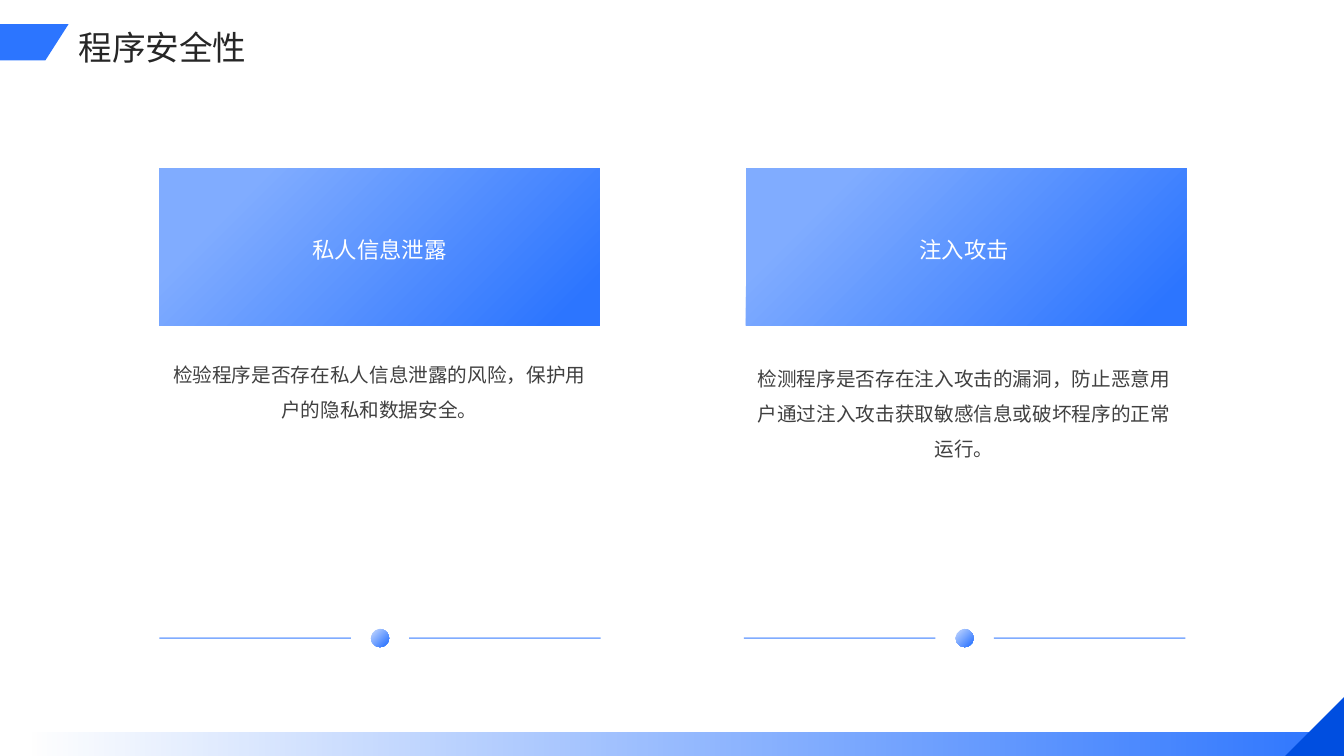
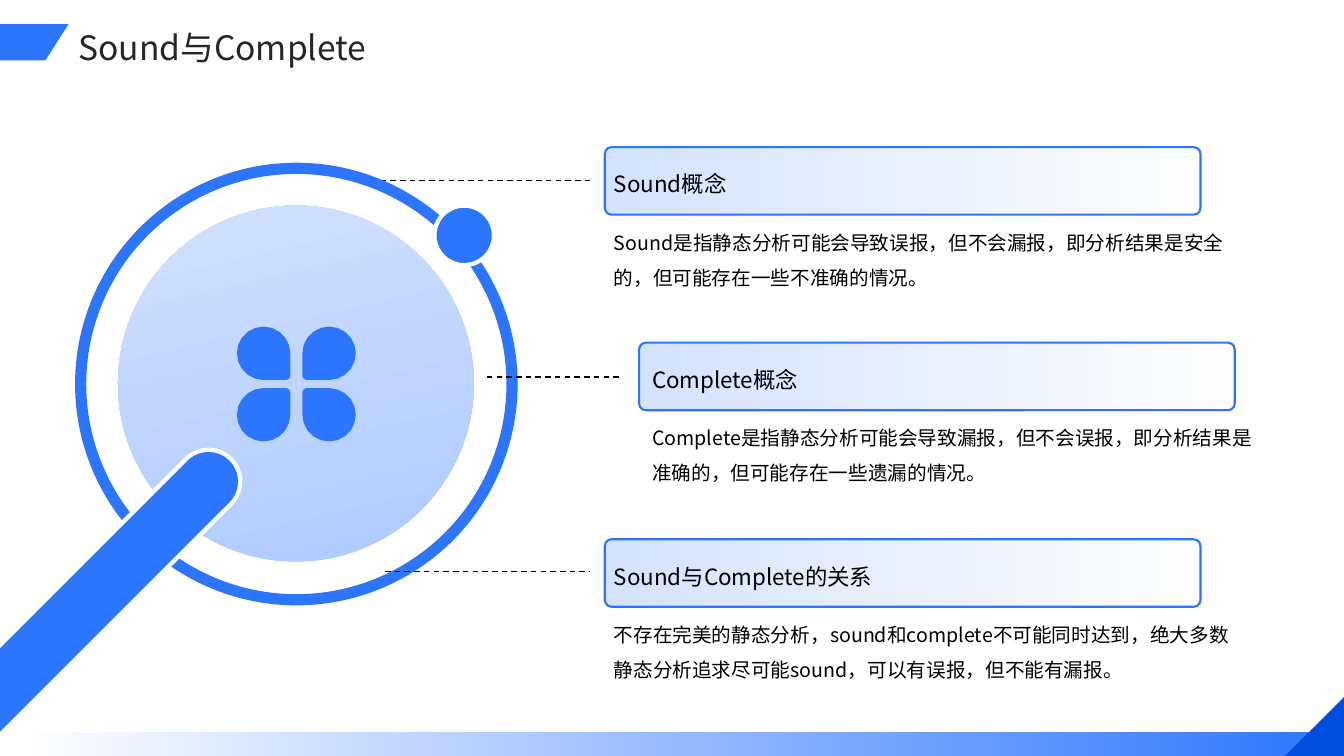
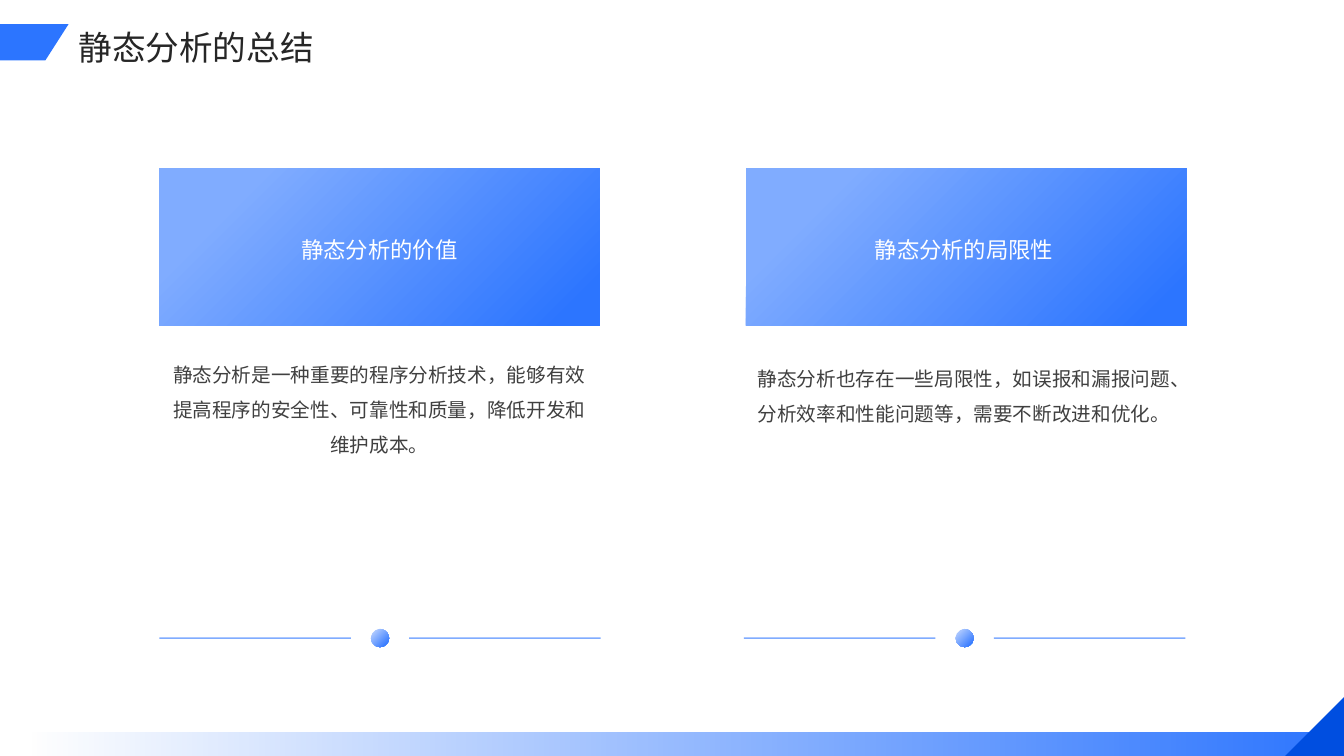
"""Build three slides on program security and static analysis."""
from math import cos, radians, sin

from lxml import etree
from pptx import Presentation
from pptx.dml.color import RGBColor
from pptx.enum.dml import MSO_LINE
from pptx.enum.lang import MSO_LANGUAGE_ID as LANG
from pptx.enum.shapes import MSO_CONNECTOR, MSO_SHAPE
from pptx.enum.text import MSO_ANCHOR, PP_ALIGN
from pptx.oxml.ns import qn
from pptx.util import Emu, Pt

PX = 9144
FONT = "Noto Sans CJK SC"
BLUE = RGBColor(0x2C, 0x75, 0xFF)
DEEP = RGBColor(0x00, 0x4E, 0xE0)
SKY = RGBColor(0x80, 0xAC, 0xFF)
PALE = RGBColor(0xAB, 0xC8, 0xFF)
MIST = RGBColor(0xD5, 0xE3, 0xFF)
WHITE = RGBColor(0xFF, 0xFF, 0xFF)
BLACK = RGBColor(0x00, 0x00, 0x00)
INK = RGBColor(0x26, 0x26, 0x26)
GREY = RGBColor(0x40, 0x40, 0x40)
LEFT, CENTER = PP_ALIGN.LEFT, PP_ALIGN.CENTER
TOP, MIDDLE = MSO_ANCHOR.TOP, MSO_ANCHOR.MIDDLE


def add_shape(slide, kind, x, y, w, h, colors, angle=0, stops=(0, 1), clear=None, line=None, width=1):
    sp = slide.shapes.add_shape(kind, x * PX, y * PX, w * PX, h * PX)
    sp.shadow.inherit = False
    if len(colors) == 1:
        sp.fill.solid()
        sp.fill.fore_color.rgb = colors[0]
    else:
        sp.fill.gradient()
        sp.fill.gradient_angle = angle
        for stop, color, position in zip(sp.fill.gradient_stops, colors, stops):
            stop.color.rgb = color
            stop.position = position
    if clear is not None:
        tone = list(sp._element.spPr.iter(qn("a:srgbClr")))[clear]
        etree.SubElement(tone, qn("a:alpha")).set("val", "0")
    if line is None:
        sp.line.fill.background()
    else:
        sp.line.color.rgb = line
        sp.line.width = Pt(width)
    return sp


def add_line(slide, start, end, y, color):
    line = slide.shapes.add_connector(MSO_CONNECTOR.STRAIGHT, start * PX, y * PX, end * PX, y * PX)
    line.line.color.rgb = color
    line.line.width = Pt(1)
    etree.SubElement(line._element.spPr, qn("a:effectLst"))
    return line


prs = Presentation()
prs.slide_width = Emu(12192000)
prs.slide_height = 750 * PX
slides = []
texts = []

for title in ("程序安全性", "Sound与Complete", "静态分析的总结"):
    slide = prs.slides.add_slide(prs.slide_layouts[6])
    add_shape(slide, MSO_SHAPE.RECTANGLE, 24, 727, 1309, 23, (BLUE, BLUE), clear=0)
    corner = add_shape(slide, MSO_SHAPE.RIGHT_TRIANGLE, 1275, 691, 59, 59, (DEEP,))
    corner.rotation = 270
    builder = slide.shapes.build_freeform(0, 24, scale=PX)
    builder.add_line_segments([(68, 24), (45, 60), (0, 60)])
    tag = builder.convert_to_shape()
    tag.shadow.inherit = False
    tag.fill.solid()
    tag.fill.fore_color.rgb = BLUE
    tag.line.fill.background()
    texts.append((slide, 68, 18, 1171, 46, title, 24, INK, 1.1, LEFT, TOP, True))
    slides.append(slide)

security, concepts, summary = slides

card_slides = (
    (security, (
        ("私人信息泄露", "检验程序是否存在私人信息泄露的风险，保护用户的隐私和数据安全。"),
        ("注入攻击", "检测程序是否存在注入攻击的漏洞，防止恶意用户通过注入攻击获取敏感信息或破坏程序的正常运行。"),
    )),
    (summary, (
        ("静态分析的价值", "静态分析是一种重要的程序分析技术，能够有效提高程序的安全性、可靠性和质量，降低开发和维护成本。"),
        ("静态分析的局限性", "静态分析也存在一些局限性，如误报和漏报问题、分析效率和性能问题等，需要不断改进和优化。"),
    )),
)
card_places = ((140, 158, 160, 343, 158), (721, 740, 740, 347, 738))
for slide, cards in card_slides:
    for (heading, body), (panel_x, card_x, text_x, body_y, rule_x) in zip(cards, card_places):
        panel = add_shape(slide, MSO_SHAPE.RECTANGLE, panel_x, 144, 472, 506, (WHITE,), line=MIST)
        edge = next(panel.line._ln.iter(qn("a:srgbClr")))
        etree.SubElement(edge, qn("a:alpha")).set("val", "0")
        add_shape(slide, MSO_SHAPE.RECTANGLE, card_x, 167, 437, 156, (SKY, BLUE), 315, (0.18, 0.93))
        texts.append((slide, text_x, 185, 433, 118, heading, 16, WHITE, 1.3, CENTER, MIDDLE, False))
        texts.append((slide, text_x, body_y, 433, 616 - body_y, body, 14, GREY, 1.5, CENTER, TOP, True))
        add_shape(slide, MSO_SHAPE.OVAL, rule_x + 210, 624, 18, 18, (PALE, BLUE), 315, (0.18, 0.93))
        for start in (rule_x, rule_x + 248):
            rule = add_line(slide, start, start + 190, 633, BLUE)
            tone = next(rule.line._ln.iter(qn("a:srgbClr")))
            etree.SubElement(tone, qn("a:alpha")).set("val", "60000")

topics = (
    (600, 609, 146, "Sound概念",
     "Sound是指静态分析可能会导致误报，但不会漏报，即分析结果是安全的，但可能存在一些不准确的情况。"),
    (634, 647, 340, "Complete概念",
     "Complete是指静态分析可能会导致漏报，但不会误报，即分析结果是准确的，但可能存在一些遗漏的情况。"),
    (600, 609, 535, "Sound与Complete的关系",
     "不存在完美的静态分析，sound和complete不可能同时达到，绝大多数静态分析追求尽可能sound，可以有误报，但不能有漏报。"),
)
for pill_x, text_x, y, heading, body in topics:
    pill = add_shape(concepts, MSO_SHAPE.ROUNDED_RECTANGLE, pill_x, y, 591, 67,
                     (MIST, MIST), clear=1, line=BLUE, width=1.5)
    pill.adjustments[0] = 0.1
    texts.append((concepts, text_x, y + 5, 613, 55, heading, 16, BLACK, 1.3, LEFT, MIDDLE, False))
    texts.append((concepts, text_x, y + 71, 613, 103, body, 14, BLACK, 1.5, LEFT, TOP, False))

add_line(concepts, 339, 586, 179, BLACK).line.dash_style = MSO_LINE.DASH
add_shape(concepts, MSO_SHAPE.OVAL, 80, 167, 428, 428, (WHITE,), line=BLUE, width=8)
add_shape(concepts, MSO_SHAPE.OVAL, 431, 204, 59, 59, (BLUE,), line=WHITE, width=3)
for start, end, y in ((483, 616, 374), (382, 585, 567)):
    add_line(concepts, start, end, y, BLACK).line.dash_style = MSO_LINE.DASH
disc = add_shape(concepts, MSO_SHAPE.OVAL, 117, 204, 353, 353, (PALE, MIST), 270)
disc.rotation = 167

petals = []
for dx, dy in ((-1, -1), (1, -1), (1, 1), (-1, 1)):
    outline = []
    for start, sx, sy in ((0, 1, 1), (90, -1, 1), (180, -1, -1), (270, 1, -1)):
        radius, step = (4, 45) if (sx, sy) == (-dx, -dy) else (26.5, 18)
        for angle in range(start, start + 91, step):
            x = 294 + 32.5 * dx + sx * (26.5 - radius) + radius * cos(radians(angle))
            y = 381 + 30.5 * dy + sy * (26.5 - radius) + radius * sin(radians(angle))
            outline.append((10 * x, 10 * y))
    petals.append(outline)
builder = concepts.shapes.build_freeform(*petals[0][0], scale=PX / 10)
builder.add_line_segments(petals[0][1:])
for outline in petals[1:]:
    builder.move_to(*outline[0])
    builder.add_line_segments(outline[1:])
clover = builder.convert_to_shape()
clover.shadow.inherit = False
clover.fill.solid()
clover.fill.fore_color.rgb = BLUE
clover.line.fill.background()

handle = add_shape(concepts, MSO_SHAPE.ROUNDED_RECTANGLE, 30, 386, 63, 474, (BLUE,), line=WHITE, width=3)
handle.adjustments[0] = 0.5
handle.rotation = 45

for slide, x, y, w, h, text, size, color, spacing, align, anchor, inset in texts:
    tf = slide.shapes.add_textbox(x * PX, y * PX, w * PX, h * PX).text_frame
    tf.word_wrap = True
    tf.vertical_anchor = anchor
    if not inset:
        tf.margin_left = tf.margin_top = tf.margin_right = tf.margin_bottom = 0
    p = tf.paragraphs[0]
    p.alignment = align
    p.line_spacing = spacing
    p._p.get_or_add_pPr().set("hangingPunct", "1")
    r = p.add_run()
    r.text = text
    r.font.size = Pt(size)
    r.font.color.rgb = color
    r.font.language_id = LANG.SIMPLIFIED_CHINESE
    r.font.name = FONT
    etree.SubElement(r._r.get_or_add_rPr(), qn("a:ea")).set("typeface", FONT)

prs.save("out.pptx")
